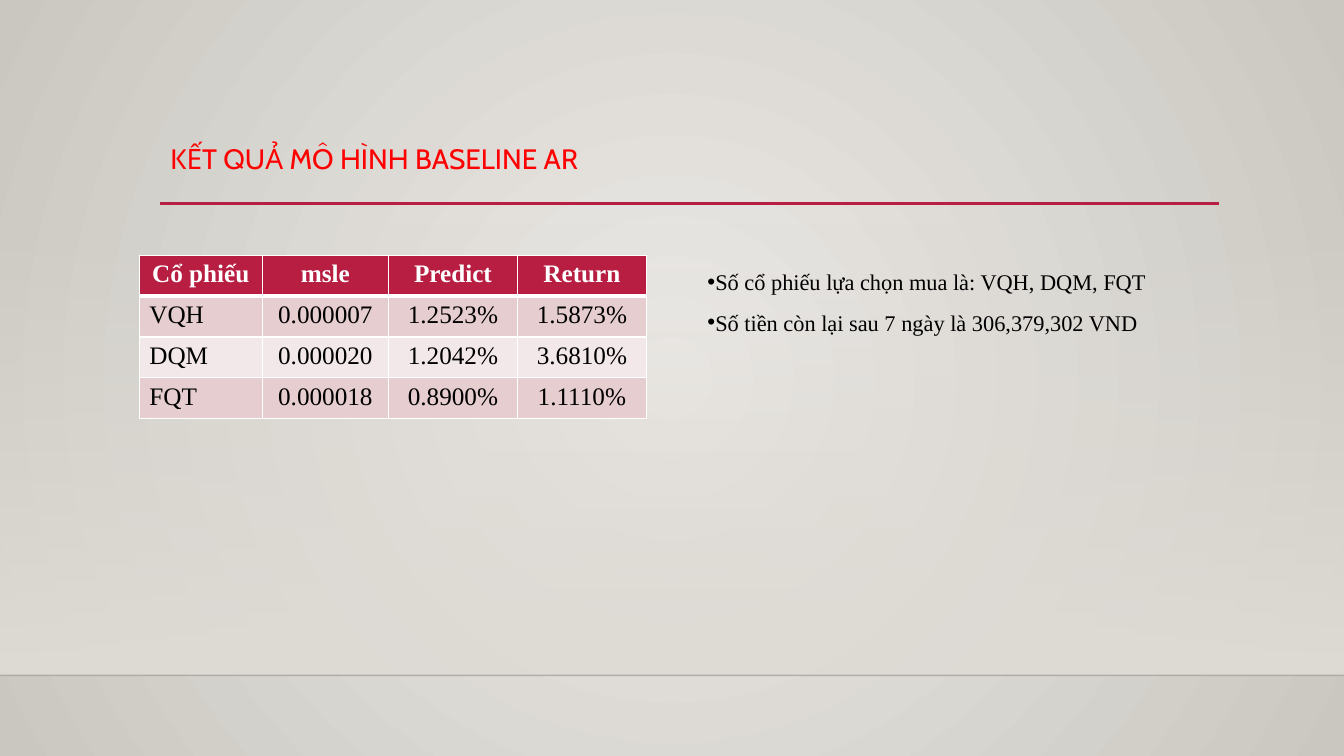
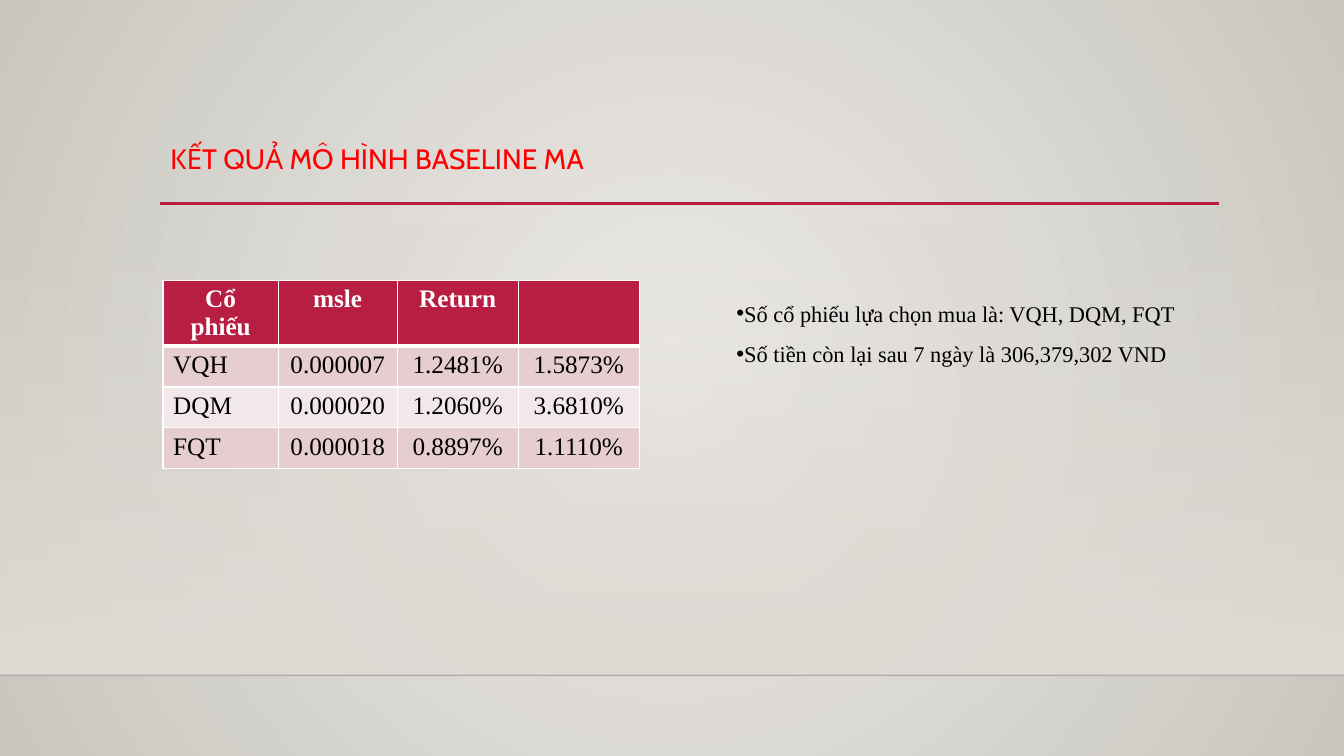
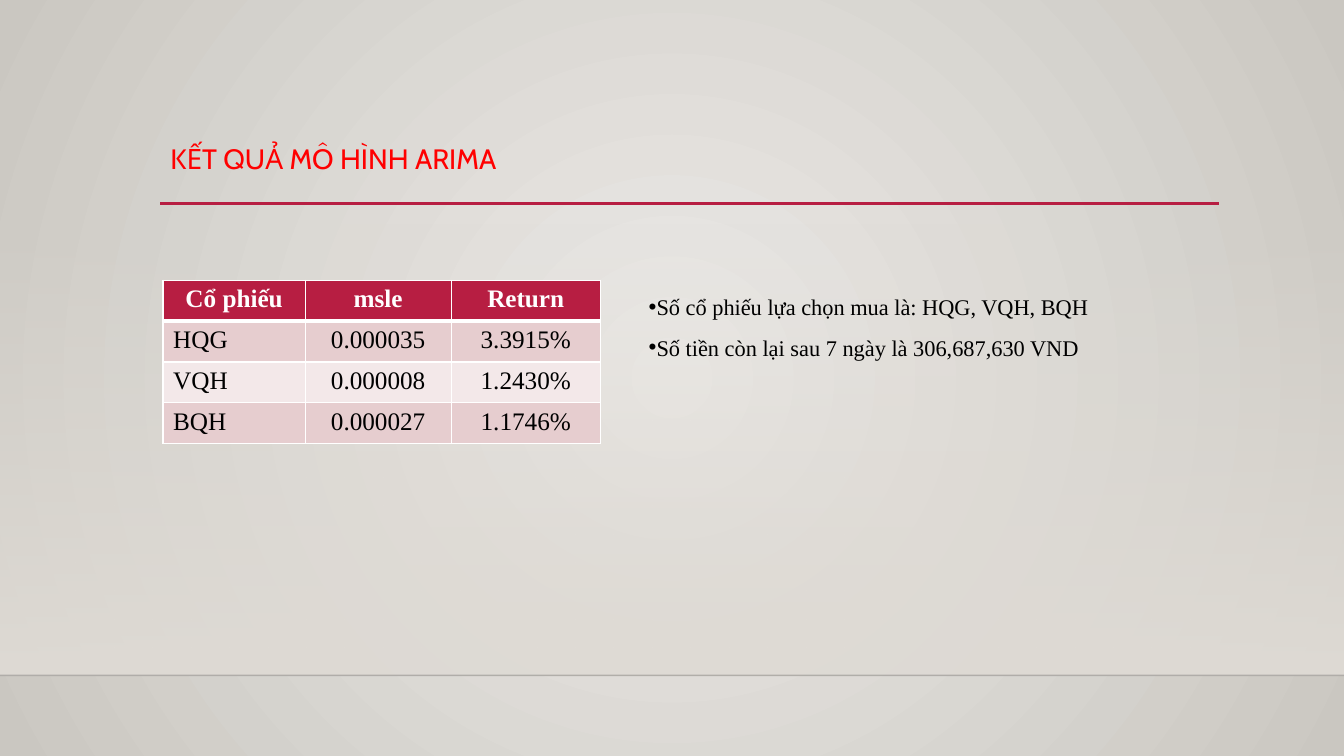
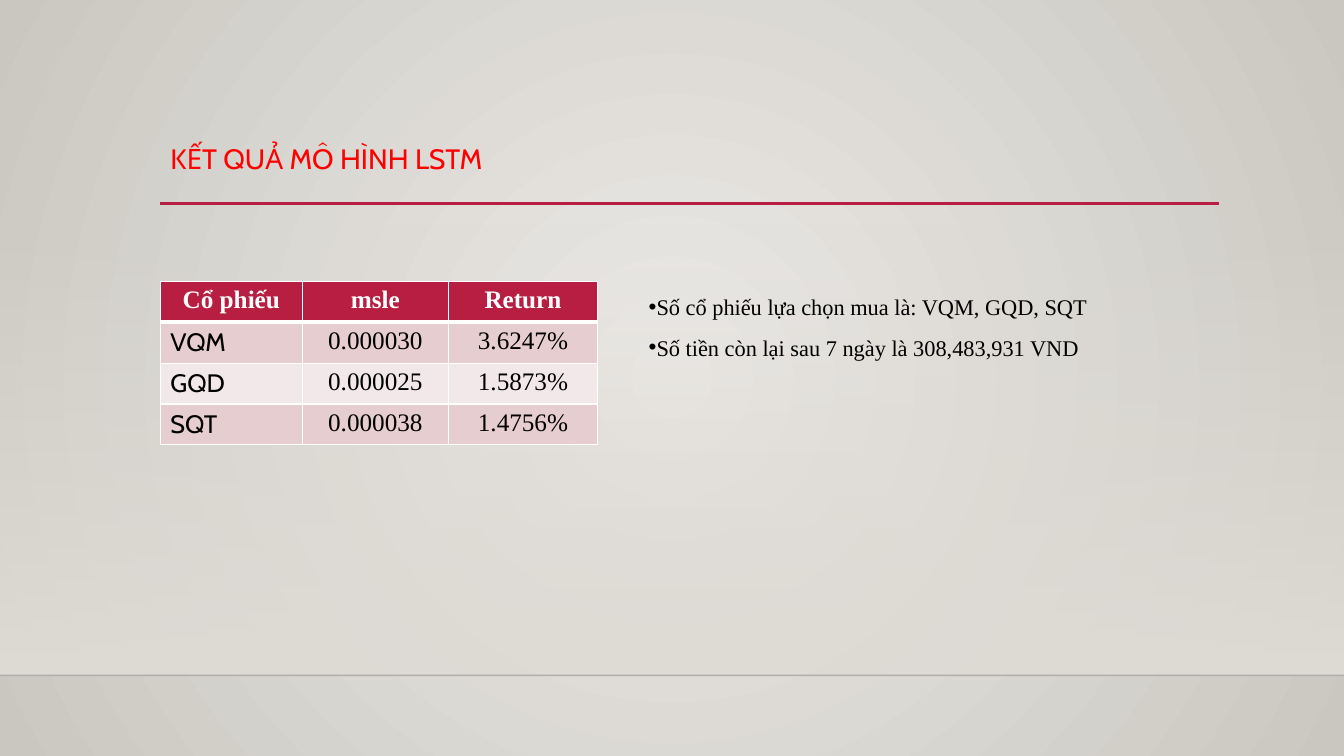
from pptx import Presentation
from pptx.dml.color import RGBColor as Rgb
from pptx.enum.shapes import MSO_CONNECTOR as Link, MSO_SHAPE as Form
from pptx.enum.text import MSO_ANCHOR as Anchor, MSO_AUTO_SIZE as Fit, PP_ALIGN as Align
from pptx.oxml.xmlchemy import OxmlElement as Node
from pptx.util import Cm, Pt

HEX = {
    "glow": "ECEAE7", "edge": "CAC7C1", "band": "DFDBD5", "floor": "000001",
    "wine": "B71E42", "odd": "E6CDCF", "even": "F3E8E9",
    "head": "FF0000", "ink": "000000", "white": "FFFFFF",
}
SERIF, SANS = "Times New Roman", "Cabin"
WIDE, HIGH = 33.87, 19.05
FLOOR = 17.02
ROW = 1.03
LEFT, RULE = 4.04, 5.13


def tint(name):
    """Return the named colour."""
    return Rgb.from_string(HEX[name])


def apply(item, form):
    """Set each attribute of a format dict on an item."""
    for key, val in form.items():
        setattr(item, key, val)


def style(part, color, **form):
    """Format the font of a run or paragraph."""
    apply(part.font, form)
    part.font.color.rgb = tint(color)


def child(root, tag, **attrs):
    """Append an XML element with attributes and return it."""
    node = Node(tag)
    for key, val in attrs.items():
        node.set(key, str(val))
    root.append(node)
    return node


def fade(fill, first, last):
    """Give a fill a gradient between two colours."""
    fill.gradient()
    for stop, name in zip(fill.gradient_stops, (first, last)):
        stop.color.rgb = tint(name)


def alpha(shape, query, share):
    """Set the opacity, in percent, of the first colour found."""
    color = shape._element.xpath(query)[0]
    child(color, "a:alpha", val=share * 1000)


class Deck:
    """Hold the presentation, its shared style and the current slide."""

    def __init__(self):
        """Set the slide size and the shared backdrop."""
        self.prs = Presentation()
        apply(self.prs, {"slide_width": Cm(WIDE), "slide_height": Cm(HIGH)})
        self.base = self.prs.slide_layouts[5]
        self.slide = None
        self.paint()

    def paint(self):
        """Give the master a round gradient from the centre."""
        master = self.prs.slide_master
        fade(master.background.fill, "glow", "edge")
        grad = master._element.xpath(".//p:bg//a:gradFill")[0]
        for lin in grad.xpath("./a:lin"):
            grad.remove(lin)
        ring = child(grad, "a:path", path="circle")
        child(ring, "a:fillToRect", **dict.fromkeys("ltrb", 50000))

    def add(self, title):
        """Start a slide with its title."""
        first = self.slide is None
        self.slide = self.prs.slides.add_slide(self.base)
        if first:
            self.stage()
        self.title(title)

    def stage(self):
        """Draw the band and lines once and move them to the layout."""
        band = self.band(5.61, FLOOR)
        floor = self.line(0, WIDE, FLOOR, "floor", 1)
        alpha(floor, ".//a:ln//a:srgbClr", 20)
        rule = self.line(LEFT, 30.73, RULE, "wine", 2.5)
        for shape in (band, floor, rule):
            self.base.shapes._spTree.append(shape._element)

    def band(self, top, end):
        """Add a full-width band that fades in downwards."""
        box = self.slide.shapes.add_shape(
            Form.RECTANGLE, 0, Cm(top), Cm(WIDE), Cm(end - top))
        box.shadow.inherit = False
        box.line.fill.background()
        fade(box.fill, "band", "band")
        box.fill.gradient_angle = 270
        alpha(box, ".//a:gs[1]/a:srgbClr", 0)
        return box

    def line(self, left, right, top, color, width):
        """Add a horizontal line."""
        line = self.slide.shapes.add_connector(
            Link.STRAIGHT, Cm(left), Cm(top), Cm(right), Cm(top))
        line.line.color.rgb = tint(color)
        line.line.width = Pt(width)
        child(line._element.spPr, "a:effectLst")
        return line

    def title(self, text):
        """Place and format the title placeholder."""
        box = self.slide.shapes.title
        apply(box, {"left": Cm(LEFT), "top": Cm(3.53),
                    "width": Cm(26.67), "height": Cm(1.63)})
        frame = box.text_frame
        frame.text = text
        apply(frame, {"vertical_anchor": Anchor.TOP, "auto_size": Fit.NONE,
                      "word_wrap": True})
        para = frame.paragraphs[0]
        apply(para, {"alignment": Align.LEFT, "line_spacing": 0.9})
        style(para.runs[0], "head", size=Pt(20), name=SANS)

    def notes(self, left, top, width, lines):
        """Add a bulleted text box."""
        box = self.slide.shapes.add_textbox(
            Cm(left), Cm(top), Cm(width), Cm(2.18))
        frame = box.text_frame
        frame.text = "\n".join(lines)
        apply(frame, {"word_wrap": True, "auto_size": Fit.SHAPE_TO_FIT_TEXT})
        for para in frame.paragraphs:
            para.line_spacing = 1.5
            style(para.runs[0], "ink", size=Pt(16), name=SERIF)
            props = para._p.get_or_add_pPr()
            apply(props, {"marL": Cm(0.79), "indent": -Cm(0.79)})
            child(props, "a:buFont", typeface="Arial")
            child(props, "a:buChar", char="•")

    def table(self, left, top, cols, rows, face=SERIF):
        """Add a table; face is the font of the stock codes."""
        frame = self.slide.shapes.add_table(
            len(rows), len(cols), Cm(left), Cm(top),
            Cm(sum(cols)), Cm(ROW * len(rows)))
        grid = frame.table
        for col, width in zip(grid.columns, cols):
            col.width = Cm(width)
        for r, row in enumerate(rows):
            grid.rows[r].height = Cm(ROW)
            for c, text in enumerate(row):
                code = r > 0 and c == 0
                self.cell(grid.cell(r, c), text, r, code, face if code else SERIF)

    def cell(self, cell, text, row, code, face):
        """Fill, border and format one table cell."""
        head = row == 0
        cell.text = text
        cell.fill.solid()
        cell.fill.fore_color.rgb = tint(
            "wine" if head else ("even", "odd")[row % 2])
        para = cell.text_frame.paragraphs[0]
        para.alignment = Align.LEFT if code else Align.CENTER
        for run in para.runs:
            style(run, "ink" if row else "white",
                  size=Pt(18), name=face, bold=head)
        props = cell._tc.get_or_add_tcPr()
        for spot, side in enumerate("LRTB"):
            thick = (row, side) in ((0, "B"), (1, "T"))
            edge = child(props, "a:ln" + side, w=Pt(3 if thick else 1))
            fill = child(edge, "a:solidFill")
            child(fill, "a:srgbClr", val=HEX["white"])
            props.insert(spot, edge)


def picks(codes, money):
    """Return the two result lines."""
    return [f"Số cổ phiếu lựa chọn mua là: {codes}",
            f"Số tiền còn lại sau 7 ngày là {money} VND"]


HEAD = ["Cổ phiếu", "msle", "Return"]
THREE = [3.58, 3.68, 3.76]
TITLE = "KẾT QUẢ MÔ HÌNH "

PAGES = [
    {"name": "BASELINE AR", "money": "306,379,302",
     "table": (3.51, 6.43, [3.1, 3.18, 3.25, 3.25]),
     "notes": (17.58, 6.3, 12.78),
     "head": ["Cổ phiếu", "msle", "Predict", "Return"],
     "rows": [["VQH", "0.000007", "1.2523%", "1.5873%"],
              ["DQM", "0.000020", "1.2042%", "3.6810%"],
              ["FQT", "0.000018", "0.8900%", "1.1110%"]]},
    {"name": "BASELINE MA", "money": "306,379,302",
     "table": (4.11, 7.06, [2.9, 3, 3.05, 3.05]),
     "notes": (18.31, 7.09, 12.4),
     "head": HEAD + [""],
     "rows": [["VQH", "0.000007", "1.2481%", "1.5873%"],
              ["DQM", "0.000020", "1.2060%", "3.6810%"],
              ["FQT", "0.000018", "0.8897%", "1.1110%"]]},
    {"name": "ARIMA", "money": "306,687,630",
     "table": (4.11, 7.06, THREE),
     "notes": (16.1, 6.93, 12.4),
     "head": HEAD,
     "rows": [["HQG", "0.000035", "3.3915%"],
              ["VQH", "0.000008", "1.2430%"],
              ["BQH", "0.000027", "1.1746%"]]},
    {"name": "LSTM", "money": "308,483,931",
     "table": (LEFT, 7.09, THREE), "face": SANS,
     "notes": (16.1, 6.93, 12.4),
     "head": HEAD,
     "rows": [["VQM", "0.000030", "3.6247%"],
              ["GQD", "0.000025", "1.5873%"],
              ["SQT", "0.000038", "1.4756%"]]},
]

deck = Deck()
for page in PAGES:
    deck.add(TITLE + page["name"])
    deck.table(*page["table"], [page["head"]] + page["rows"],
               page.get("face", SERIF))
    codes = ", ".join(row[0] for row in page["rows"])
    deck.notes(*page["notes"], picks(codes, page["money"]))
deck.prs.save("out.pptx")
